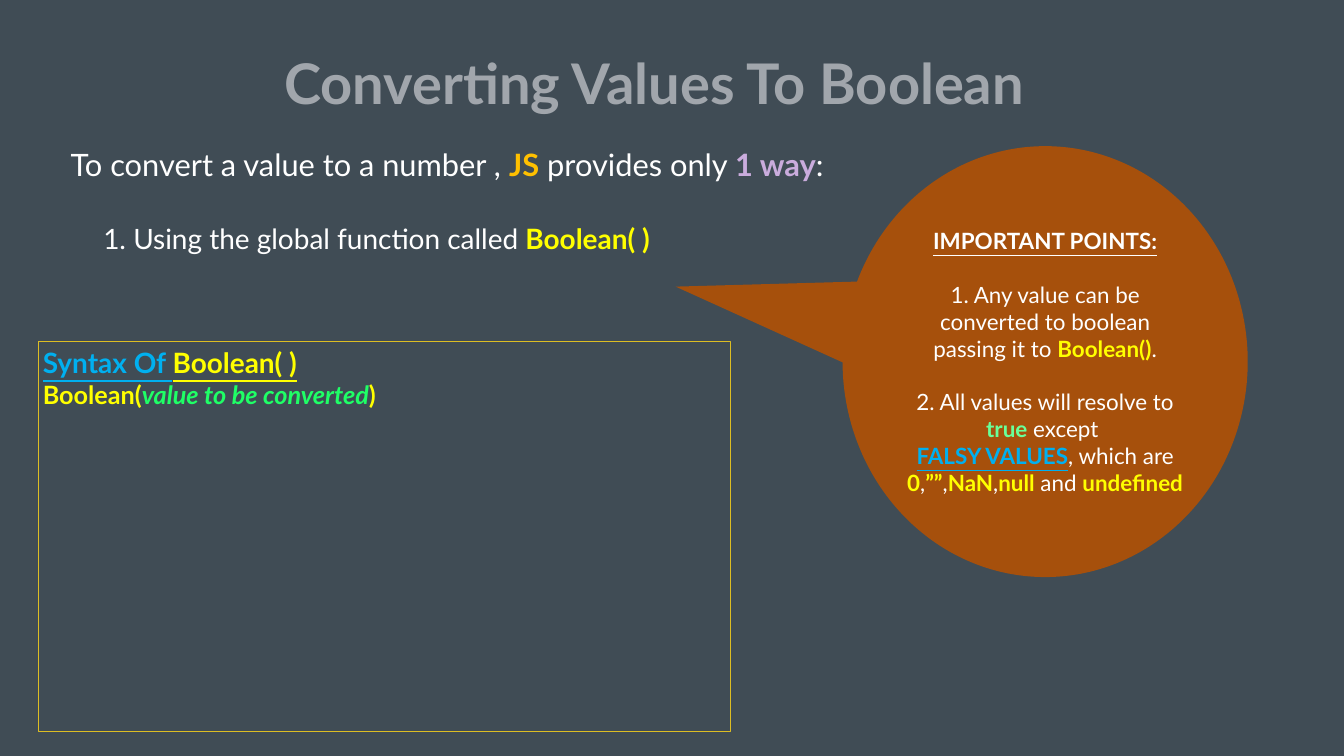
import pptx
import pptx.util
import pptx.dml.color
import pptx.enum.shapes
import pptx.enum.text

Inches = pptx.util.Inches
Pt = pptx.util.Pt
RGBColor = pptx.dml.color.RGBColor
SHAPE = pptx.enum.shapes.MSO_SHAPE
ANCHOR = pptx.enum.text.MSO_ANCHOR
ALIGN = pptx.enum.text.PP_ALIGN

FONT = "Lato"
SLATE = RGBColor(0x40, 0x4C, 0x55)
GREY = RGBColor(0xA1, 0xA6, 0xAC)
WHITE = RGBColor(0xFF, 0xFF, 0xFF)
AMBER = RGBColor(0xFF, 0xC0, 0x00)
LILAC = RGBColor(0xCA, 0xAC, 0xDD)
YELLOW = RGBColor(0xFF, 0xFF, 0x00)
BLUE = RGBColor(0x00, 0xB0, 0xF0)
GREEN = RGBColor(0x1F, 0xFF, 0x66)
MINT = RGBColor(0x69, 0xFF, 0x99)
GOLD = RGBColor(0xDC, 0xBD, 0x23)
RUST = RGBColor(0xA6, 0x50, 0x0C)


def plain(text):
    return text, WHITE, ""


def strong(text, color=YELLOW, extra=""):
    """A bold run; extra adds u for underline and i for italic."""
    return text, color, "b" + extra


def set_frame(frame, inset, anchor):
    frame.word_wrap = True
    frame.vertical_anchor = anchor
    frame.margin_left = frame.margin_right = Inches(inset)
    frame.margin_top = frame.margin_bottom = Inches(inset)


def add_paragraph(frame, runs, size, align=ALIGN.LEFT, before=0):
    first = not frame.paragraphs[0].runs
    paragraph = frame.paragraphs[0] if first else frame.add_paragraph()
    paragraph.alignment = align
    if before:
        paragraph.space_before = Pt(before)
    for text, color, style in runs:
        run = paragraph.add_run()
        run.text = text
        run.font.name = FONT
        run.font.size = Pt(size)
        run.font.color.rgb = color
        run.font.bold = "b" in style
        run.font.italic = "i" in style
        run.font.underline = "u" in style
    return paragraph


def add_text_box(slide, left, top, width, height, inset=0.08, anchor=ANCHOR.TOP):
    box = slide.shapes.add_textbox(
        Inches(left), Inches(top), Inches(width), Inches(height))
    set_frame(box.text_frame, inset, anchor)
    return box.text_frame


def add_shape(slide, kind, left, top, width, height):
    shape = slide.shapes.add_shape(
        kind, Inches(left), Inches(top), Inches(width), Inches(height))
    shape.shadow.inherit = False
    return shape


def add_intro(slide):
    intro = add_text_box(slide, 1.4, 2.9, 21.83, 3.64, inset=0)
    add_paragraph(intro, [
        plain("To convert a value to a number , "), strong("JS", AMBER),
        plain(" provides only "), strong("1 way", LILAC), plain(":")], 44)
    way = add_paragraph(intro, [
        plain("1. Using the global function called "), strong("Boolean( )")],
        40, before=55)
    way._p.get_or_add_pPr().set("marL", str(Inches(0.65)))


def add_syntax(slide):
    syntax = add_text_box(slide, 0.77, 6.78, 10.18, 2.18)
    add_paragraph(syntax, [
        strong("Syntax Of ", BLUE, "u"), strong("Boolean( )", extra="u")], 40)
    add_paragraph(syntax, [
        strong("Boolean("), strong("value to be converted", GREEN, "i"),
        strong(")")], 36)

    border = add_shape(slide, SHAPE.RECTANGLE, 0.77, 6.78, 13.73, 7.73)
    border.fill.background()
    border.line.color.rgb = GOLD
    border.line.width = Pt(1)


def add_callout(slide):
    callout = add_shape(slide, SHAPE.OVAL_CALLOUT, 16.72, 2.9, 8.04, 8.55)
    callout.adjustments[0] = -0.912
    callout.adjustments[1] = -0.174
    callout.fill.solid()
    callout.fill.fore_color.rgb = RUST
    callout.line.fill.background()
    set_frame(callout.text_frame, 0.08, ANCHOR.MIDDLE)

    size, gap = 32, 38.4  # the gap is one line high
    points = [
        (0, [strong("IMPORTANT POINTS:", WHITE, "u")]),
        (gap, [plain("1. Any value can be converted to boolean passing it to "),
               strong("Boolean()"), plain(".")]),
        (gap, [plain("2. All values will resolve to "),
               strong("true", MINT), plain(" except ")]),
        (0, [strong("FALSY VALUES", BLUE, "u"), plain(", which are")]),
        (0, [strong("0"), plain(","), strong("””"), plain(","),
             strong("NaN"), plain(","), strong("null"), plain(" and "),
             strong("undefined")]),
    ]
    for before, runs in points:
        add_paragraph(callout.text_frame, runs, size, ALIGN.CENTER, before)


def main():
    deck = pptx.Presentation()
    deck.slide_width = Inches(26.67)
    deck.slide_height = Inches(15)
    slide = deck.slides.add_slide(deck.slide_layouts[6])
    slide.background.fill.solid()
    slide.background.fill.fore_color.rgb = SLATE

    # Title
    title = add_text_box(slide, 0.77, 0.88, 24.43, 1.5, anchor=ANCHOR.MIDDLE)
    add_paragraph(title, [strong("Converting Values To Boolean", GREY)],
                  80, ALIGN.CENTER)

    # Explanation, syntax panel and important points
    add_intro(slide)
    add_syntax(slide)
    add_callout(slide)
    deck.save("out.pptx")


if __name__ == "__main__":
    main()
